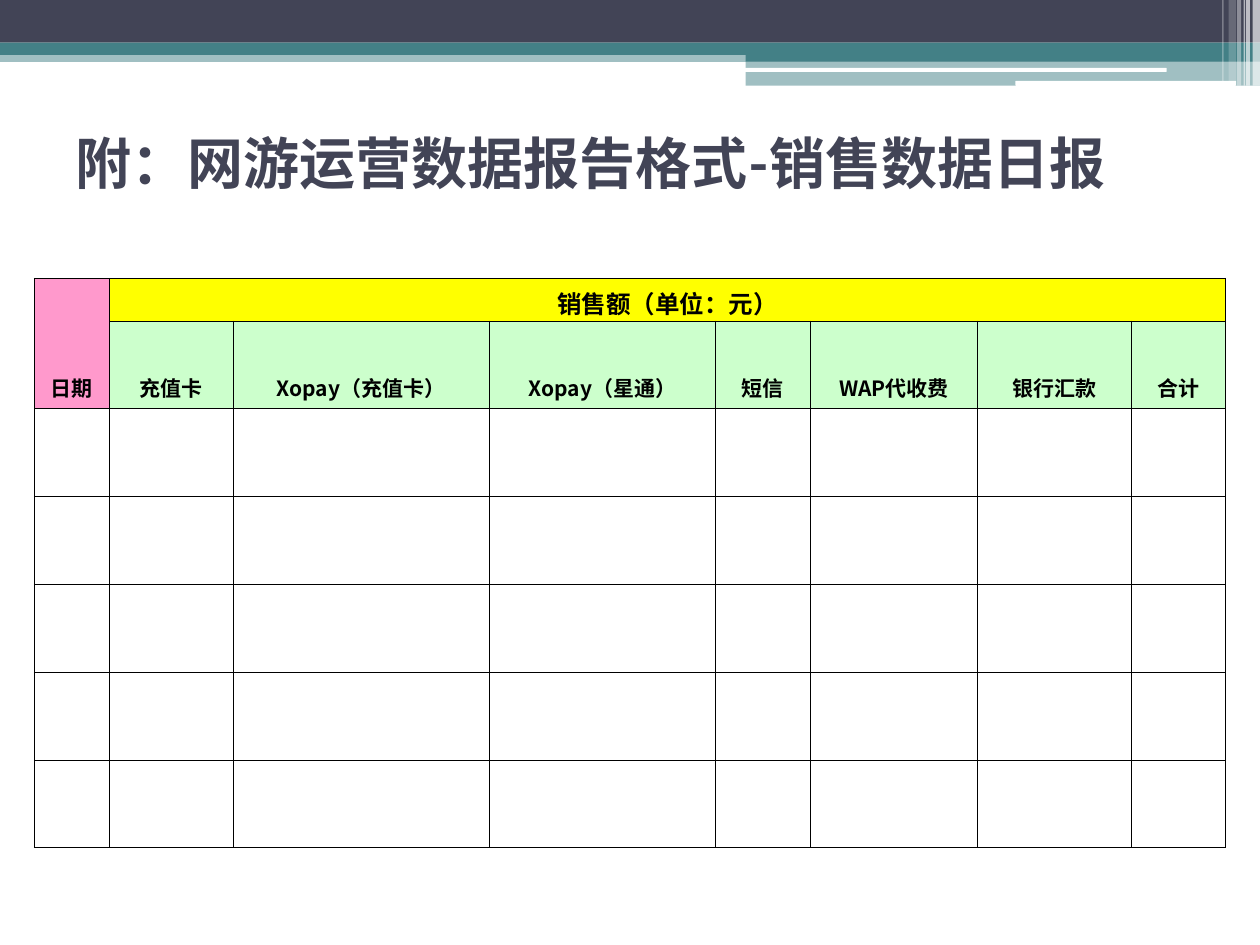
import pptx
import pptx.dml.color
import pptx.enum.shapes
import pptx.enum.text
import pptx.oxml
import pptx.oxml.ns
import pptx.util
from lxml import etree

Cm = pptx.util.Cm
RGBColor = pptx.dml.color.RGBColor
MSO_SHAPE = pptx.enum.shapes.MSO_SHAPE
MSO_ANCHOR = pptx.enum.text.MSO_ANCHOR
PP_ALIGN = pptx.enum.text.PP_ALIGN
qn = pptx.oxml.ns.qn

SLATE = RGBColor(0x42, 0x44, 0x56)
TEAL = RGBColor(0x43, 0x80, 0x86)
WHITE = RGBColor(0xFF, 0xFF, 0xFF)
BLACK = RGBColor(0x00, 0x00, 0x00)
PINK = RGBColor(0xFF, 0x99, 0xCC)
YELLOW = RGBColor(0xFF, 0xFF, 0x00)
GREEN = RGBColor(0xCC, 0xFF, 0xCC)

HEADING_FONT = "Lato"
CHINESE_FONT = "Noto Sans CJK SC"

BANDS = [
    (MSO_SHAPE.RECTANGLE, 0, 1.02, 25.4, 0.23, TEAL, 50),
    (MSO_SHAPE.RECTANGLE, 0, 0, 25.4, 0.86, SLATE, 100),
    (MSO_SHAPE.RECTANGLE, 0, 0.86, 25.4, 0.25, TEAL, 100),
    (MSO_SHAPE.RECTANGLE, 15.03, 0.99, 10.37, 0.25, TEAL, 100),
    (MSO_SHAPE.RECTANGLE, 15.03, 1.23, 10.37, 0.5, TEAL, 50),
    (MSO_SHAPE.ROUNDED_RECTANGLE, 15.01, 1.37, 8.51, 0.08, WHITE, 100),
    (MSO_SHAPE.ROUNDED_RECTANGLE, 20.47, 1.63, 4.45, 0.1, WHITE, 100),
]
STRIPES = [
    (25.25, 0.15, 1.73, 65),
    (25.12, 0.08, 1.73, 65),
    (25.07, 0.03, 1.73, 60),
    (24.94, 0.08, 1.73, 40),
    (24.77, 0.15, 1.63, 20),
    (24.64, 0.03, 1.63, 30),
]
COLUMN_WIDTHS = [1.52, 2.49, 5.16, 4.57, 1.9, 3.38, 3.1, 1.9]
ROW_HEIGHTS = [0.86] + [1.77] * 6
CHANNELS = ["充值卡", "Xopay（充值卡）", "Xopay（星通）", "短信", "WAP代收费", "银行汇款", "合计"]


def apply_format(target, values):
    for name, value in values.items():
        setattr(target, name, value)


def write_text(paragraph, text, font, size, color):
    run = paragraph.add_run()
    run.text = text
    apply_format(run.font, {"name": font, "size": pptx.util.Pt(size), "bold": True})
    run.font.color.rgb = color
    east_asian = etree.SubElement(run.font._element, qn("a:ea"))
    east_asian.set("typeface", CHINESE_FONT)


def add_band(slide, kind, left, top, width, height, color, opacity):
    shape = slide.shapes.add_shape(kind, Cm(left), Cm(top), Cm(width), Cm(height))
    shape.shadow.inherit = False
    shape.fill.solid()
    shape.fill.fore_color.rgb = color
    shape.line.fill.background()
    if opacity < 100:
        color_element = shape._element.spPr.find(".//" + qn("a:srgbClr"))
        etree.SubElement(color_element, qn("a:alpha")).set("val", str(opacity * 1000))


def add_header(slide, left, top):
    for kind, x, y, width, height, color, opacity in BANDS:
        add_band(slide, kind, left + x, top + y, width, height, color, opacity)
    for x, width, height, opacity in STRIPES:
        add_band(slide, MSO_SHAPE.RECTANGLE, left + x, top, width, height, WHITE, opacity)


def add_title(slide, left, top, width, height):
    box = slide.shapes.add_textbox(Cm(left), Cm(top), Cm(width), Cm(height))
    apply_format(box.text_frame, {"word_wrap": True, "vertical_anchor": MSO_ANCHOR.MIDDLE})
    write_text(box.text_frame.paragraphs[0], "附：网游运营数据报告格式-销售数据日报", HEADING_FONT, 32, SLATE)


def add_borders(cell):
    properties = cell._tc.get_or_add_tcPr()
    for position, side in enumerate(("a:lnL", "a:lnR", "a:lnT", "a:lnB")):
        line = pptx.oxml.ns.qn(side)
        border = etree.Element(line, w=str(pptx.util.Pt(0.45)))
        fill = etree.SubElement(border, qn("a:solidFill"))
        etree.SubElement(fill, qn("a:srgbClr")).set("val", str(BLACK))
        properties.insert(position, border)


def fill_heading(cell, text, size, color):
    cell.vertical_anchor = MSO_ANCHOR.BOTTOM
    cell.fill.solid()
    cell.fill.fore_color.rgb = color
    paragraph = cell.text_frame.paragraphs[0]
    paragraph.alignment = PP_ALIGN.CENTER
    write_text(paragraph, text, CHINESE_FONT, size, BLACK)


def add_sales_table(slide, left, top):
    frame = slide.shapes.add_table(
        len(ROW_HEIGHTS), len(COLUMN_WIDTHS), Cm(left), Cm(top),
        Cm(sum(COLUMN_WIDTHS)), Cm(sum(ROW_HEIGHTS)),
    )
    table = frame.table
    apply_format(table, {"first_row": False, "horz_banding": False})
    for column, width in zip(table.columns, COLUMN_WIDTHS):
        column.width = Cm(width)
    for row, height in zip(table.rows, ROW_HEIGHTS):
        row.height = Cm(height)
    for cell in table.iter_cells():
        cell.fill.background()
        add_borders(cell)
    table.cell(0, 0).merge(table.cell(1, 0))
    table.cell(0, 1).merge(table.cell(0, len(COLUMN_WIDTHS) - 1))
    fill_heading(table.cell(0, 0), "日期", 12, PINK)
    fill_heading(table.cell(0, 1), "销售额（单位：元）", 14, YELLOW)
    for index, channel in enumerate(CHANNELS, start=1):
        fill_heading(table.cell(1, index), channel, 12, GREEN)


def main():
    presentation = pptx.Presentation()
    apply_format(presentation, {"slide_width": Cm(25.4), "slide_height": Cm(19.05)})
    slide = presentation.slides.add_slide(presentation.slide_layouts[6])
    add_header(slide, 0, 0)
    add_title(slide, 1.27, 1.78, 22.86, 2.97)
    add_sales_table(slide, 0.69, 5.61)
    presentation.save("out.pptx")


if __name__ == "__main__":
    main()
